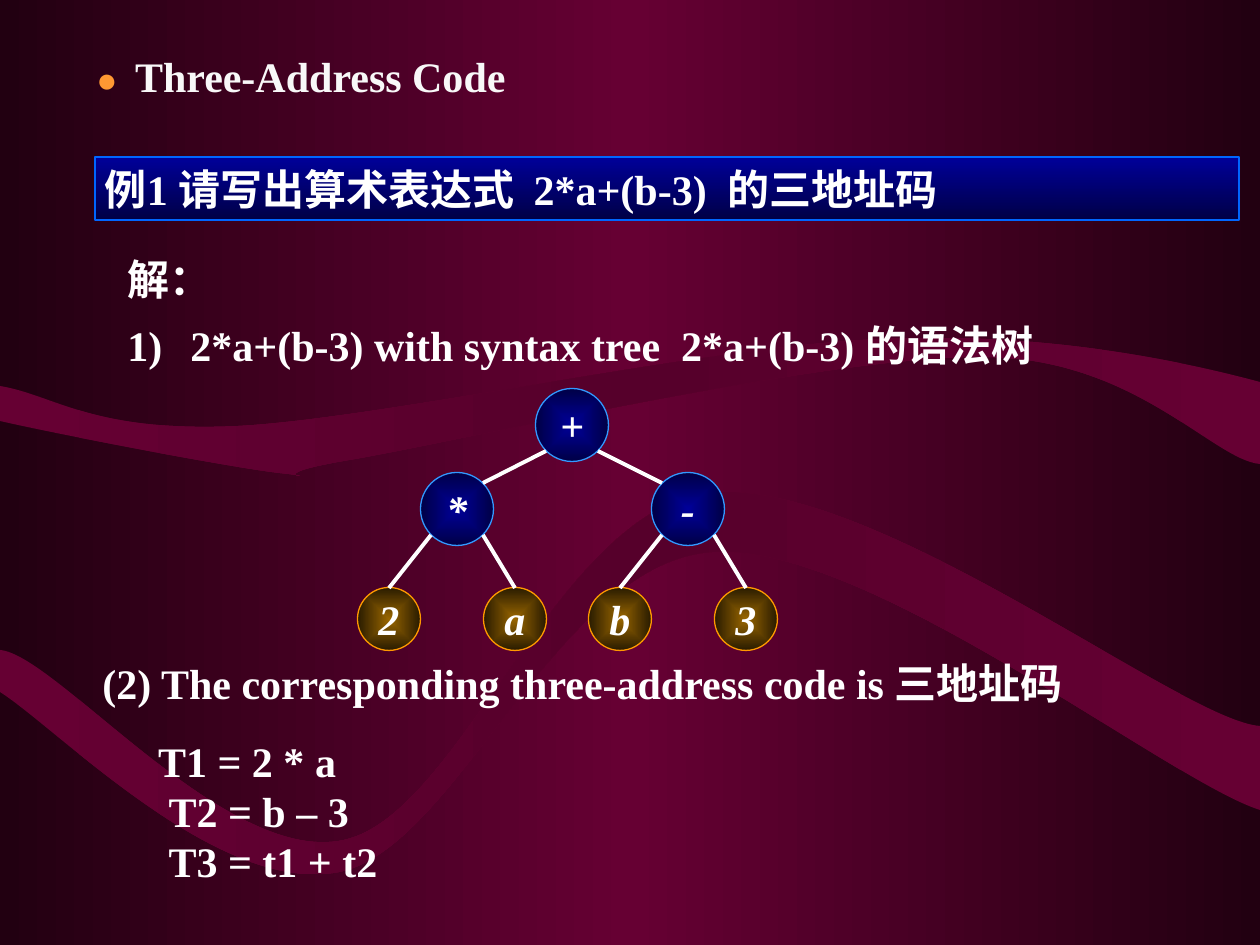
from lxml.etree import SubElement as Sub
from pptx import Presentation
from pptx.dml.color import RGBColor
from pptx.enum.shapes import MSO_CONNECTOR as Conn, MSO_SHAPE as Kind
from pptx.enum.text import MSO_ANCHOR as Anchor, PP_ALIGN as Align
from pptx.oxml.ns import qn
from pptx.util import Pt

SCALE = 914400 / 126
WHITE = "FFFFFF"
FACE = {"name": "Times New Roman", "size": Pt(24), "bold": True}
BLUE = ("000099", "000046")
BROWN = ("996600", "291B00")
RIBBON = ("660033", "56002B", "660033")
UPPER = [(0, 386), (0, 421), (47, 432, 221, 466, 280, 473), (339, 479, 239, 478, 355, 459),
         (473, 438, 832, 355, 983, 357), (1134, 357, 1213, 460, 1260, 464), (1260, 382),
         (1197, 365, 1053, 331, 883, 339), (713, 345, 387, 418, 239, 426),
         (92, 433, 55, 395, 0, 386)]
LOWER = [(0, 650), (0, 692), (57, 728, 219, 896, 339, 872), (457, 849, 558, 562, 712, 552),
         (866, 541, 1168, 781, 1260, 810), (1260, 726), (1182, 721, 871, 475, 708, 493),
         (556, 512, 462, 814, 344, 840), (226, 866, 57, 655, 0, 650)]


def px(num):
    """Turn pixels into EMU."""
    return round(num * SCALE)


def ink(code):
    """Turn a hex string into a colour."""
    return RGBColor.from_string(code)


def style(item, vals):
    """Set attributes from a dict."""
    for key, val in vals.items():
        setattr(item, key, val)


def shade(fill, host, tones, angle=None):
    """Fill with evenly spaced tones, along an angle or out from the centre."""
    fill.gradient()
    grad = host.find(qn("a:gradFill"))
    for kid in list(grad):
        grad.remove(kid)
    stops = Sub(grad, qn("a:gsLst"))
    for num, tone in enumerate(tones):
        stop = Sub(stops, qn("a:gs"), pos=str(num * 100000 // (len(tones) - 1)))
        Sub(stop, qn("a:srgbClr"), val=tone)
    if angle is None:
        way = Sub(grad, qn("a:path"), path="rect")
        Sub(way, qn("a:fillToRect"), dict.fromkeys("ltrb", "50000"))
    else:
        Sub(grad, qn("a:lin"), ang=str(angle * 60000), scaled="0")


def ribbon(slide, start, *steps):
    """Draw a closed band of straight and cubic steps."""
    pen = slide.shapes.build_freeform(*map(px, start))
    for step in steps:
        pairs = zip(step[::2], step[1::2])
        pen.add_line_segments([(px(x), px(y)) for x, y in pairs], close=step is steps[-1])
    band = pen.convert_to_shape()
    band.shadow.inherit = False
    band.line.fill.background()
    route = band._element.find(".//" + qn("a:path"))
    lines = iter(route.findall(qn("a:lnTo")))
    for step in steps:
        legs = [next(lines) for _ in step[::2]]
        if len(legs) == 3:
            curve = Sub(route, qn("a:cubicBezTo"))
            legs[0].addprevious(curve)
            for leg in legs:
                curve.append(leg[0])
                route.remove(leg)
    shade(band.fill, band._element.spPr, RIBBON, 0)


def solid(slide, kind, box, tones, edge, angle=None):
    """Draw a shaded shape with a thin edge."""
    shape = slide.shapes.add_shape(kind, *map(px, box))
    shape.shadow.inherit = False
    shade(shape.fill, shape._element.spPr, tones, angle)
    shape.line.color.rgb = ink(edge)
    shape.line.width = Pt(0.75)
    return shape


def write(para, text, tone=WHITE, **font):
    """Add one styled run to a paragraph."""
    run = para.add_run()
    run.text = text
    style(run.font, {**FACE, **font})
    run.font.color.rgb = ink(tone)


def hang(para, size):
    """Give a paragraph a hanging indent."""
    props = para._p.get_or_add_pPr()
    props.set("marL", str(px(size)))
    props.set("indent", str(px(-size)))
    return props


def label(slide, box, count=1, **frame):
    """Add a text box and return its paragraphs."""
    body = slide.shapes.add_textbox(*map(px, box)).text_frame
    style(body, {"word_wrap": True, **frame})
    for _ in range(count - 1):
        body.add_paragraph()
    return body.paragraphs


def node(slide, text, x, y, size, tones, edge):
    """Draw a tree node round its centre."""
    box = (x - size / 2, y - size / 2, size, size)
    body = solid(slide, Kind.OVAL, box, tones, edge).text_frame
    style(body, {"word_wrap": False, "vertical_anchor": Anchor.MIDDLE})
    para = body.paragraphs[0]
    para.alignment = Align.CENTER
    write(para, text, italic=True)


def link(slide, *ends):
    """Draw a white branch."""
    line = slide.shapes.add_connector(Conn.STRAIGHT, *map(px, ends))
    line.line.color.rgb = ink(WHITE)
    line.line.width = Pt(2.25)
    Sub(line._element.spPr, qn("a:effectLst"))


def tree(slide):
    """Draw the syntax tree."""
    top, mid, low, root, rim = 425, 509, 619, 572, 26
    big, small = (73, BLUE, "3399FF"), (63, BROWN, "FF9900")
    node(slide, "+", root, top, *big)
    for sign, x, side, leaves in (("*", 457, -1, "2a"), ("-", 688, 1, "b3")):
        node(slide, sign, x, mid, *big)
        link(slide, root + side * rim, top + rim, x - side * rim, mid - rim)
        for leaf, shift, turn in zip(leaves, (-68, 58), (-1, 1)):
            node(slide, leaf, x + shift, low, *small)
            link(slide, x + turn * rim, mid + rim, x + shift, low - 31)


def main():
    """Build the slide."""
    deck = Presentation()
    style(deck, {"slide_width": px(1260), "slide_height": px(945)})
    slide = deck.slides.add_slide(deck.slide_layouts[6])
    fill = slide.background.fill
    fill.solid()
    host = slide._element.find(".//" + qn("p:bgPr"))
    shade(fill, host, ("220011", "660033", "220011"), 0)
    for band in (UPPER, LOWER):
        ribbon(slide, *band)

    title, = label(slide, (84, 52, 1071, 53), vertical_anchor=Anchor.MIDDLE)
    title.line_spacing = 0.9
    write(title, "●  ", "FF9933", size=Pt(20))
    write(title, "Three-Address Code", "F8F8F8")

    bar = solid(slide, Kind.RECTANGLE, (95, 157, 1144, 63), BLUE, "0066FF", 90).text_frame
    style(bar, {"margin_left": px(10), "word_wrap": True, "vertical_anchor": Anchor.TOP})
    bar.paragraphs[0].alignment = Align.LEFT
    write(bar.paragraphs[0], "例1 请写出算术表达式  2*a+(b-3)  的三地址码")

    steps = label(slide, (115, 241, 1144, 126), 2, vertical_anchor=Anchor.MIDDLE)
    for para, text in zip(steps, ("解：", "2*a+(b-3) with syntax tree  2*a+(b-3) 的语法树")):
        props = hang(para, 63)
        if para is steps[1]:
            Sub(Sub(props, qn("a:buClr")), qn("a:srgbClr"), val=WHITE)
            Sub(props, qn("a:buFont"), typeface=FACE["name"])
            Sub(props, qn("a:buAutoNum"), type="arabicParenR")
        para.line_spacing = 1.3
        write(para, text)

    tree(slide)

    code = (" T1 = 2 * a", "  T2 = b – 3", "  T3 = t1 + t2")
    for para, text in zip(label(slide, (136, 729, 872, 164), len(code)), code):
        write(para, text)
    part, = label(slide, (90, 651, 999, 63), word_wrap=False)
    write(part, "(2) The corresponding three-address code is 三地址码")
    deck.save("out.pptx")


if __name__ == "__main__":
    main()
